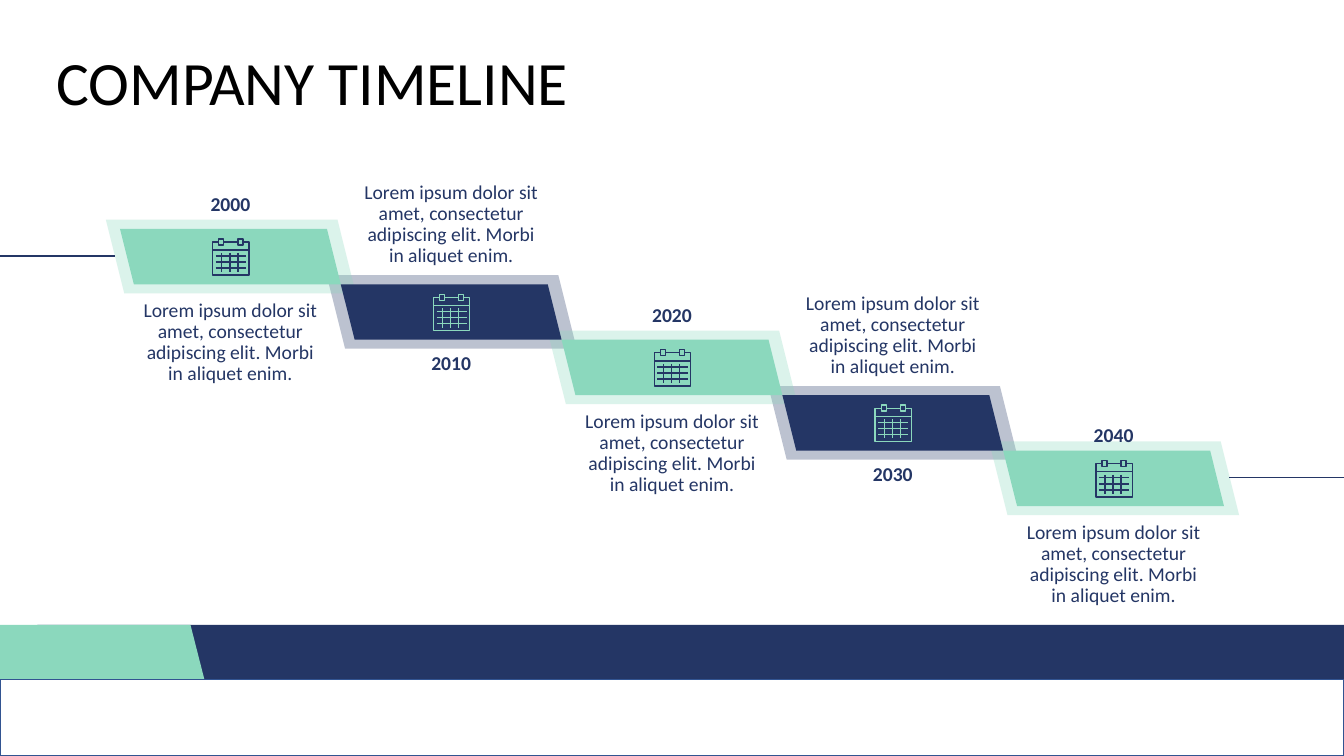
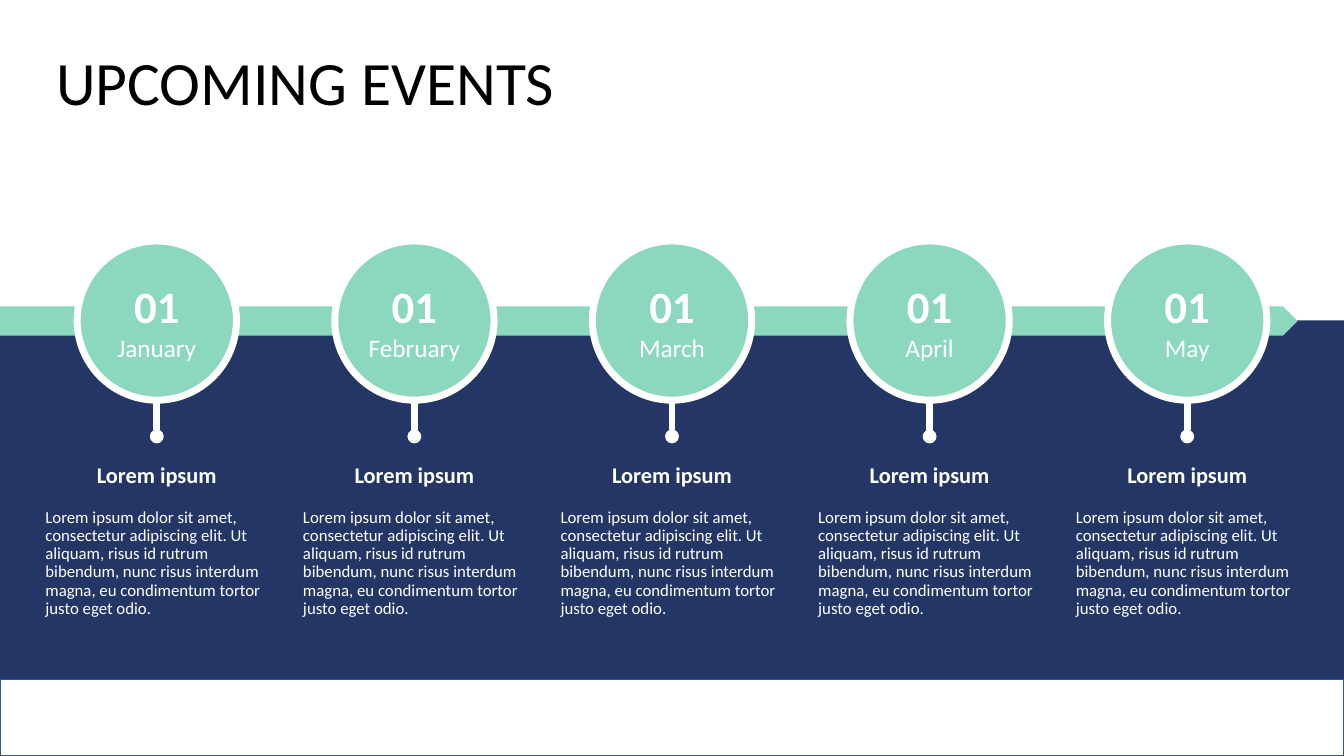
"""Build a company timeline slide and an upcoming events slide."""
from lxml import etree
from pptx import Presentation
from pptx.dml.color import RGBColor
from pptx.enum.shapes import MSO_CONNECTOR, MSO_SHAPE
from pptx.enum.text import MSO_ANCHOR, PP_ALIGN
from pptx.oxml.ns import qn
from pptx.util import Inches, Pt

NAVY = RGBColor(0x24, 0x36, 0x65)
MINT = RGBColor(0x8B, 0xD8, 0xBD)
WHITE = RGBColor(0xFF, 0xFF, 0xFF)
BLACK = RGBColor(0, 0, 0)
FOOTER_EDGE = RGBColor(0x32, 0x54, 0x91)

RECT = MSO_SHAPE.RECTANGLE
SLANTED = MSO_SHAPE.PARALLELOGRAM
PENTAGON = MSO_SHAPE.PENTAGON
OVAL = MSO_SHAPE.OVAL
STRAIGHT = MSO_CONNECTOR.STRAIGHT
TOP, MIDDLE = MSO_ANCHOR.TOP, MSO_ANCHOR.MIDDLE
LEFT, CENTER = PP_ALIGN.LEFT, PP_ALIGN.CENTER

FONT = "Calibri"
WIDTH, HEIGHT = 13.33, 7.5
BAND_TOP, BAND_BOTTOM, FOOTER_TOP = 6.2, 6.75, 6.74

TITLE_FONT = {"size": Pt(44)}
STEP_FONT = {"size": Pt(14)}
YEAR_FONT = {"size": Pt(14), "bold": True}
DAY_FONT = {"size": Pt(32), "bold": True}
MONTH_FONT = {"size": Pt(18)}
HEADING_FONT = {"size": Pt(16), "bold": True}
DETAIL_FONT = {"size": Pt(12)}

TITLE_PARAGRAPH = {"alignment": LEFT, "line_spacing": 0.9}
STEP_PARAGRAPH = {"alignment": CENTER, "line_spacing": 0.9, "space_before": Pt(6)}
DATE_PARAGRAPH = {"alignment": CENTER}
HEADING_PARAGRAPH = {"alignment": CENTER, "line_spacing": 0.9, "space_before": Pt(10)}
DETAIL_PARAGRAPH = {**HEADING_PARAGRAPH, "alignment": LEFT}

STEP_LEFT, STEP_TOP = 1.19, 2.27
STEP_WIDTH, STEP_HEIGHT = 2.19, 0.55
STEPS = [("2000", -0.38), ("2010", 0.64), ("2020", -0.38), ("2030", 0.64), ("2040", -0.29)]
STEP_TEXT = "Lorem ipsum dolor sit amet, consectetur adipiscing elit. Morbi in aliquet enim."

MONTHS = ["January", "February", "March", "April", "May"]
COLUMN_LEFT, COLUMN_WIDTH, COLUMN_PITCH = 0.45, 2.21, 2.555
CIRCLE_TOP, CIRCLE_SIZE = 2.39, 1.58
EVENT_TEXT = (
    "Lorem ipsum dolor sit amet, consectetur adipiscing elit. Ut aliquam, "
    "risus id rutrum bibendum, nunc risus interdum magna, eu condimentum "
    "tortor justo eget odio."
)


def inches(*lengths):
    return [Inches(length) for length in lengths]


def apply(target, values):
    for name, value in values.items():
        setattr(target, name, value)


def paint(shape, fill=None, edge=None, weight=1, alpha=None):
    shape.shadow.inherit = False
    if fill is None:
        shape.fill.background()
    else:
        shape.fill.solid()
        shape.fill.fore_color.rgb = fill
    if alpha is not None:
        color = shape.element.spPr.find(qn("a:solidFill"))[0]
        etree.SubElement(color, qn("a:alpha"), val=str(alpha * 1000))
    if edge is None:
        shape.line.fill.background()
    else:
        shape.line.color.rgb = edge
        shape.line.width = Pt(weight)
    return shape


def add_block(shapes, kind, box, **look):
    return paint(shapes.add_shape(kind, *inches(*box)), **look)


def add_outline(shapes, points, closed=True, **look):
    corners = [inches(*point) for point in points]
    builder = shapes.build_freeform(*corners[0])
    builder.add_line_segments(corners[1:], close=closed)
    return paint(builder.convert_to_shape(), **look)


def add_slanted(slide, box, color, alpha=None):
    block = add_block(slide.shapes, SLANTED, box, fill=color, alpha=alpha)
    block.element.spPr.find(qn("a:xfrm")).set("flipH", "1")


def add_rule(shapes, ends, color, weight=1, dot_end=False):
    rule = shapes.add_connector(STRAIGHT, *inches(*ends))
    rule.line.color.rgb = color
    rule.line.width = Pt(weight)
    properties = rule.element.spPr
    if dot_end:
        line = properties.find(qn("a:ln"))
        etree.SubElement(line, qn("a:tailEnd"), type="oval", w="sm", len="sm")
    etree.SubElement(properties, qn("a:effectLst"))


def write(shape, lines, color, layout, anchor=TOP, inset=0.0):
    frame = shape.text_frame
    margins = dict.fromkeys(
        ["margin_left", "margin_top", "margin_right", "margin_bottom"], Inches(inset)
    )
    apply(frame, {"word_wrap": True, "vertical_anchor": anchor, **margins})
    for index, (text, style) in enumerate(lines):
        paragraph = frame.add_paragraph() if index else frame.paragraphs[0]
        apply(paragraph, layout)
        run = paragraph.add_run()
        run.text = text
        apply(run.font, {"name": FONT, **style})
        run.font.color.rgb = color


def add_text(slide, box, text, style, color, layout, **placing):
    write(slide.shapes.add_textbox(*inches(*box)), [(text, style)], color, layout, **placing)


def add_title(slide, text):
    box = (0.46, 0.4, 12.41, 0.9)
    add_text(slide, box, text, TITLE_FONT, BLACK, TITLE_PARAGRAPH, anchor=MIDDLE, inset=0.1)


def add_footer(slide):
    box = (0, FOOTER_TOP, WIDTH, HEIGHT - FOOTER_TOP)
    add_block(slide.shapes, RECT, box, fill=WHITE, edge=FOOTER_EDGE)


def add_slanted_band(slide):
    navy_part = [(0.37, BAND_TOP), (WIDTH, BAND_TOP), (WIDTH, BAND_BOTTOM), (0.51, BAND_BOTTOM)]
    mint_part = [(0, BAND_TOP), (1.89, BAND_TOP), (2.03, BAND_BOTTOM), (0, BAND_BOTTOM)]
    for points, color in [(navy_part, NAVY), (mint_part, MINT)]:
        add_outline(slide.shapes, points, fill=color)


def add_calendar(slide, left, top, color):
    parts = slide.shapes.add_group_shape().shapes
    page = [(0.06, 0), (0, 0), (0, 0.33), (0.36, 0.33), (0.36, 0), (0.3, 0)]
    add_outline(parts, [(left + x, top + y) for x, y in page], closed=False, edge=color)
    for x in (0.06, 0.25):
        add_block(parts, RECT, (left + x, top - 0.03, 0.05, 0.06), edge=color)
    rules = [(0.11, 0, 0.25, 0), (0, 0.08, 0.36, 0.08)]
    rules += [(x, 0.11, x, 0.3) for x in (0.09, 0.17, 0.25)]
    rules += [(0.03, y, 0.33, y) for y in (0.14, 0.2, 0.26)]
    for x1, y1, x2, y2 in rules:
        add_rule(parts, (left + x1, top + y1, left + x2, top + y2), color)


def add_step_texts(slide, index, left, top):
    year, year_offset = STEPS[index]
    text_offset = -1.08 if index % 2 else 0.64
    texts = [(STEP_TEXT, STEP_FONT, text_offset, 0.98), (year, YEAR_FONT, year_offset, 0.3)]
    for text, style, offset, height in texts:
        box = (left + 0.15, top + offset, 1.89, height)
        add_text(slide, box, text, style, NAVY, STEP_PARAGRAPH, anchor=MIDDLE, inset=0.04)


def build_timeline(slide):
    add_slanted_band(slide)
    add_title(slide, "COMPANY TIMELINE")
    places = [
        (index, STEP_LEFT + index * STEP_WIDTH, STEP_TOP + index * STEP_HEIGHT)
        for index in range(len(STEPS))
    ]
    for index, left, top in places[1::2] + places[::2]:
        halo = (left - 0.14, top - 0.09, 2.48, 0.73)
        add_slanted(slide, halo, NAVY if index % 2 else MINT, alpha=30)
    for index, left, top in places:
        color, icon_color = (NAVY, MINT) if index % 2 else (MINT, NAVY)
        add_slanted(slide, (left, top, STEP_WIDTH, STEP_HEIGHT), color)
        add_step_texts(slide, index, left, top)
        add_calendar(slide, left + 0.92, top + 0.13, icon_color)
    for start, end, y in [(0, 1.14, 2.54), (12.19, WIDTH, 4.74)]:
        add_rule(slide.shapes, (start, y, end, y), NAVY)
    add_footer(slide)


def add_event(slide, left, month):
    center = left + COLUMN_WIDTH / 2
    circle_bottom = CIRCLE_TOP + CIRCLE_SIZE
    circle_box = (center - CIRCLE_SIZE / 2, CIRCLE_TOP, CIRCLE_SIZE, CIRCLE_SIZE)
    circle = add_block(slide.shapes, OVAL, circle_box, fill=MINT, edge=WHITE, weight=5)
    write(circle, [("01", DAY_FONT), (month, MONTH_FONT)], WHITE, DATE_PARAGRAPH, anchor=MIDDLE)
    stem = (center, circle_bottom, center, circle_bottom + 0.36)
    add_rule(slide.shapes, stem, WHITE, weight=5, dot_end=True)
    texts = [
        ("Lorem ipsum", HEADING_FONT, HEADING_PARAGRAPH, 4.6, 0.29),
        (EVENT_TEXT, DETAIL_FONT, DETAIL_PARAGRAPH, 5.05, 1.59),
    ]
    for text, style, layout, top, height in texts:
        add_text(slide, (left, top, COLUMN_WIDTH, height), text, style, WHITE, layout)


def build_events(slide):
    add_block(slide.shapes, RECT, (0, 3.18, WIDTH, 3.56), fill=NAVY)
    add_block(slide.shapes, PENTAGON, (0, 3.04, 12.87, 0.29), fill=MINT)
    add_title(slide, "UPCOMING EVENTS")
    for index, month in enumerate(MONTHS):
        add_event(slide, COLUMN_LEFT + index * COLUMN_PITCH, month)
    add_footer(slide)


def main():
    deck = Presentation()
    deck.slide_width, deck.slide_height = inches(WIDTH, HEIGHT)
    for build in (build_timeline, build_events):
        build(deck.slides.add_slide(deck.slide_layouts[6]))
    deck.save("out.pptx")


if __name__ == "__main__":
    main()
